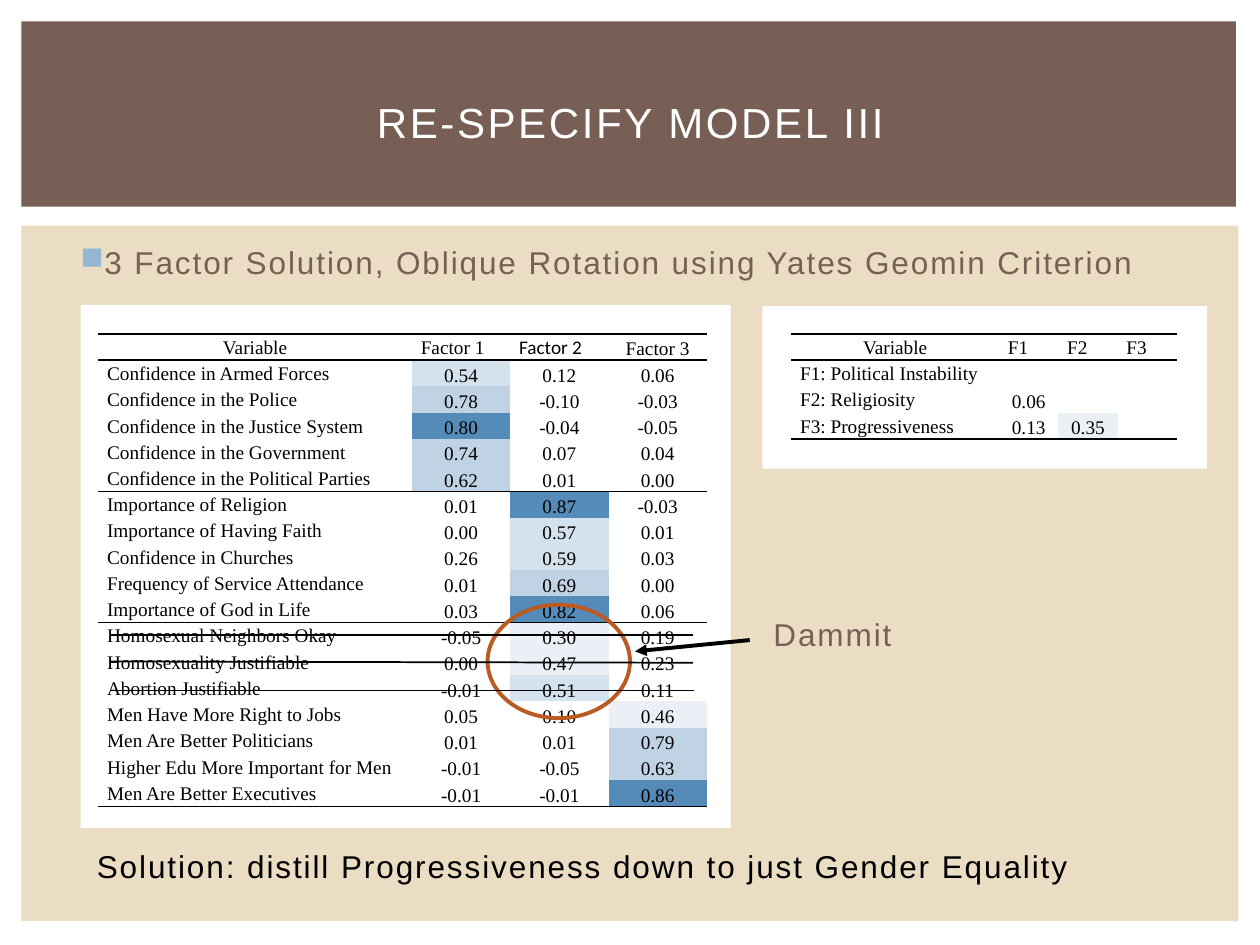
from lxml.etree import SubElement
from pptx import Presentation
from pptx.dml.color import RGBColor
from pptx.enum.shapes import MSO_CONNECTOR, MSO_SHAPE
from pptx.enum.text import MSO_ANCHOR, PP_ALIGN
from pptx.oxml.ns import qn
from pptx.util import Inches, Pt

WHITE = RGBColor(0xFF, 0xFF, 0xFF)
BLACK = RGBColor(0x00, 0x00, 0x00)
BROWN = RGBColor(0x77, 0x5F, 0x55)
SAND = RGBColor(0xEB, 0xDD, 0xC3)
RUST = RGBColor(0xB9, 0x5B, 0x22)
SKY = RGBColor(0x94, 0xB6, 0xD2)
SHADES = [
    (0.8, RGBColor(0x55, 0x8B, 0xB8)),
    (0.6, RGBColor(0xBF, 0xD3, 0xE4)),
    (0.5, RGBColor(0xD4, 0xE2, 0xED)),
    (0.3, RGBColor(0xEA, 0xF0, 0xF6)),
]

LOADS = [
    ("Variable", "Factor 1", "Factor 2", "Factor 3"),
    ("Confidence in Armed Forces", "0.54", "0.12", "0.06"),
    ("Confidence in the Police", "0.78", "-0.10", "-0.03"),
    ("Confidence in the Justice System", "0.80", "-0.04", "-0.05"),
    ("Confidence in the Government", "0.74", "0.07", "0.04"),
    ("Confidence in the Political Parties", "0.62", "0.01", "0.00"),
    ("Importance of Religion", "0.01", "0.87", "-0.03"),
    ("Importance of Having Faith", "0.00", "0.57", "0.01"),
    ("Confidence in Churches", "0.26", "0.59", "0.03"),
    ("Frequency of Service Attendance", "0.01", "0.69", "0.00"),
    ("Importance of God in Life", "0.03", "0.82", "0.06"),
    ("Homosexual Neighbors Okay", "-0.05", "0.30", "0.19"),
    ("Homosexuality Justifiable", "0.00", "0.47", "0.23"),
    ("Abortion Justifiable", "-0.01", "0.51", "0.11"),
    ("Men Have More Right to Jobs", "0.05", "0.10", "0.46"),
    ("Men Are Better Politicians", "0.01", "0.01", "0.79"),
    ("Higher Edu More Important for Men", "-0.01", "-0.05", "0.63"),
    ("Men Are Better Executives", "-0.01", "-0.01", "0.86"),
]
LINKS = [
    ("Variable", "F1", "F2", "F3"),
    ("F1: Political Instability", "", "", ""),
    ("F2: Religiosity", "0.06", "", ""),
    ("F3: Progressiveness", "0.13", "0.35", ""),
]


class Board:
    """Hold the text style and the current slide, and draw each kind of element."""

    face = "Arial"
    serif = "Times New Roman"

    def __init__(self, slide):
        self.shapes = slide.shapes

    def shape(self, kind, box, fill=None, line=None):
        item = self.shapes.add_shape(kind, *map(Inches, box))
        item.shadow.inherit = False
        if fill is None:
            item.fill.background()
        else:
            item.fill.solid()
            item.fill.fore_color.rgb = fill
        if line is None:
            item.line.fill.background()
        else:
            item.line.color.rgb = line
            item.line.width = Pt(2.25)

    def text(self, box, words, color, size=18, space=110, title=False, bullet=False):
        frame = self.shapes.add_textbox(*map(Inches, box)).text_frame
        frame.word_wrap = True
        frame.text = words
        para = frame.paragraphs[0]
        if title:
            frame.vertical_anchor = MSO_ANCHOR.MIDDLE
            para.alignment = PP_ALIGN.CENTER
        else:
            para.space_before = Pt(3.6)
            props = para._p.get_or_add_pPr()
            props.set("marL", str(Inches(0.23 if bullet else 0.04)))
            props.set("indent", str(Inches(-0.19 if bullet else 0)))
            if bullet:
                tint = SubElement(props, qn("a:buClr"))
                SubElement(tint, qn("a:srgbClr"), val=str(SKY))
                SubElement(props, qn("a:buChar"), char="■")
        run = para.runs[0]
        self.font(run, self.face, size, color)
        run._r.get_or_add_rPr().set("spc", str(space))

    def font(self, run, face, size, color):
        run.font.name = face
        run.font.size = Pt(size)
        run.font.color.rgb = color

    def line(self, start, end, width=1, arrow=False):
        item = self.shapes.add_connector(
            MSO_CONNECTOR.STRAIGHT, *map(Inches, start + end))
        item.line.color.rgb = BLACK
        item.line.width = Pt(width)
        if arrow:
            SubElement(item.line._get_or_add_ln(), qn("a:tailEnd"), type="triangle")
        SubElement(item._element.spPr, qn("a:effectLst"))

    def table(self, left, top, widths, rows, rules):
        high = Inches(0.2083)
        grid = self.shapes.add_table(
            len(rows), len(widths), Inches(left), Inches(top),
            Inches(sum(widths)), high * len(rows)).table
        grid.first_row = grid.horz_banding = False
        for col, width in zip(grid.columns, widths):
            col.width = Inches(width)
        for r, row in enumerate(rows):
            grid.rows[r].height = high
            for c, words in enumerate(row):
                cell = grid.cell(r, c)
                self.edge(cell, r in rules, r + 1 in rules)
                self.cell(cell, words, r, c)

    def edge(self, cell, top, base):
        props = cell._tc.get_or_add_tcPr()
        for side, drawn in (("L", False), ("R", False), ("T", top), ("B", base)):
            rule = SubElement(props, qn("a:ln" + side), w=str(Pt(1)))
            if drawn:
                fill = SubElement(rule, qn("a:solidFill"))
                SubElement(fill, qn("a:srgbClr"), val=str(BLACK))
            else:
                SubElement(rule, qn("a:noFill"))

    def cell(self, cell, words, r, c):
        last = words == "Factor 3"
        value = r > 0 and c > 0
        cell.margin_left = cell.margin_right = Inches(0.07)
        cell.margin_top = cell.margin_bottom = 0
        cell.vertical_anchor = MSO_ANCHOR.BOTTOM if value or last else MSO_ANCHOR.MIDDLE
        cell.fill.background()
        para = cell.text_frame.paragraphs[0]
        para.line_spacing = 1.07
        if not words:
            SubElement(para._p, qn("a:endParaRPr"), sz="1100")
            return
        para.text = words
        if value or last or r == c == 0:
            para.alignment = PP_ALIGN.CENTER
        face = "Calibri" if words == "Factor 2" else self.serif
        self.font(para.runs[0], face, 11, BLACK)
        if value:
            for floor, shade in SHADES:
                if float(words) >= floor:
                    cell.fill.solid()
                    cell.fill.fore_color.rgb = shade
                    break


def main():
    deck = Presentation()
    deck.slide_width, deck.slide_height = Inches(10), Inches(7.5)
    board = Board(deck.slides.add_slide(deck.slide_layouts[6]))
    rect = MSO_SHAPE.RECTANGLE
    board.shape(rect, (0.17, 1.79, 9.66, 5.52), SAND)
    board.shape(rect, (0.17, 0.17, 9.64, 1.47), BROWN)
    board.text((0.5, 1.88, 9.08, 1.04),
               "3 Factor Solution, Oblique Rotation using Yates Geomin Criterion",
               BROWN, bullet=True)
    board.text((0.42, 0.39, 9.17, 1.15), "RE-SPECIFY MODEL III", WHITE,
               size=24, space=150, title=True)
    board.shape(rect, (0.64, 2.42, 5.16, 4.15), WHITE)
    board.table(0.78, 2.65, (2.49, 0.78, 0.78, 0.78), LOADS, (0, 1, 6, 11, 18))
    board.shape(rect, (6.05, 2.43, 3.53, 1.29), WHITE)
    board.table(6.28, 2.65, (1.65, 0.47, 0.47, 0.47), LINKS, (0, 1, 4))
    board.text((6, 4.83, 1.75, 0.51), "Dammit", BROWN)
    board.shape(MSO_SHAPE.OVAL, (3.87, 4.8, 1.13, 0.9), line=RUST)
    board.line((5.95, 5.08), (5.04, 5.17), 2.25, arrow=True)
    board.text((0.63, 6.67, 8.68, 0.88),
               "Solution: distill Progressiveness down to just Gender Equality", BLACK)
    for left, top, base in ((0.87, 5.04, 5.04), (0.87, 5.25, 5.26), (0.88, 5.48, 5.48)):
        board.line((left, top), (left + 4.63, base))
    deck.save("out.pptx")


if __name__ == "__main__":
    main()
